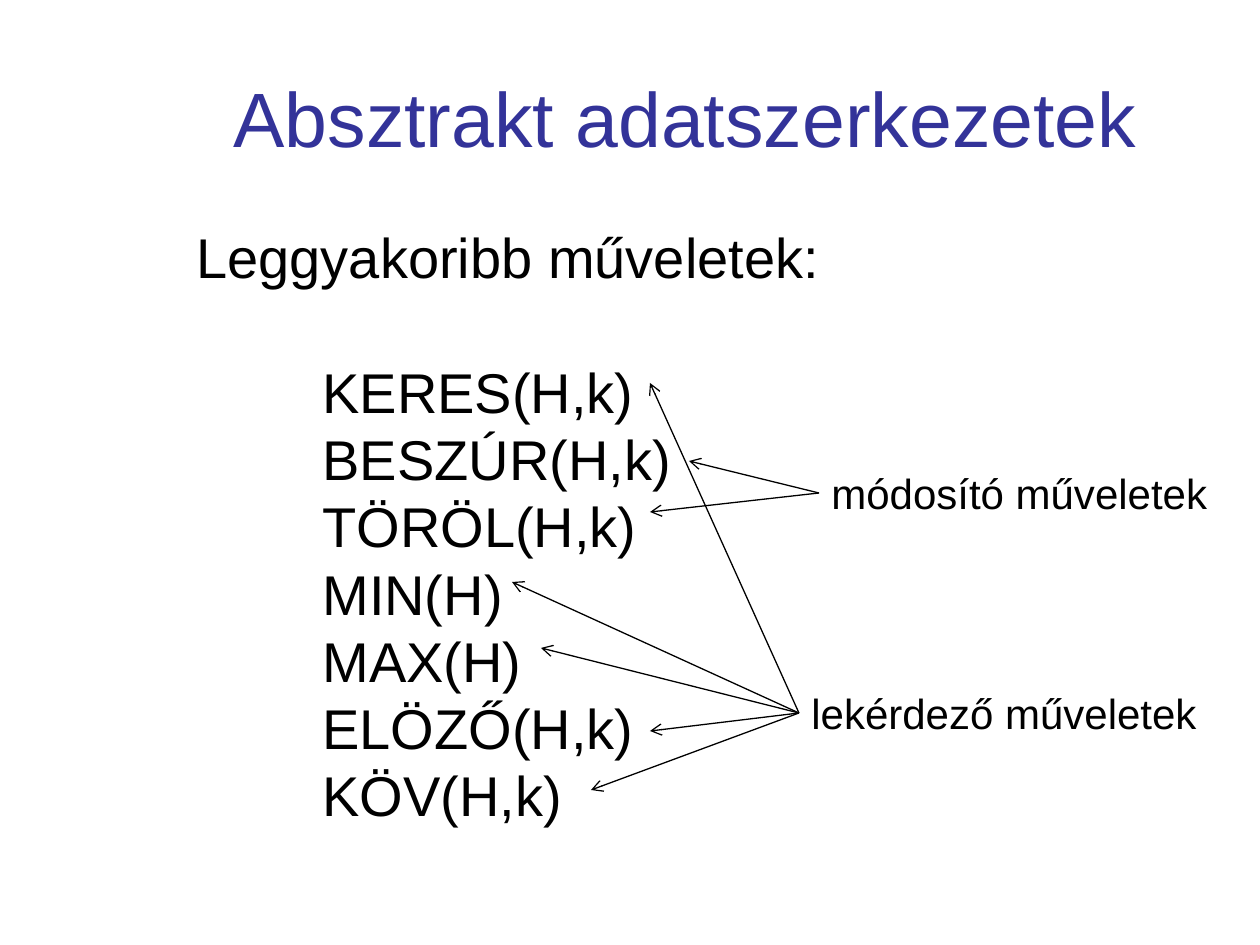
from typing import NamedTuple

from lxml.etree import SubElement
from pptx import Presentation
from pptx.dml.color import RGBColor
from pptx.enum.shapes import MSO_CONNECTOR
from pptx.enum.text import MSO_ANCHOR, PP_ALIGN
from pptx.oxml.ns import qn
from pptx.util import Emu, Pt

PX_PER_INCH = 126
BLACK = RGBColor(0x00, 0x00, 0x00)
INDIGO = RGBColor(0x33, 0x33, 0x99)
FONT = "Arial"
LINE_PITCH = Pt(38.4)
LEFT_SIDE = 1

OPERATIONS = ["KERES(H,k)", "BESZÚR(H,k)", "TÖRÖL(H,k)", "MIN(H)",
              "MAX(H)", "ELÖZŐ(H,k)", "KÖV(H,k)"]


class Box(NamedTuple):
    left: int
    top: int
    width: int
    height: int


def px(length):
    return Emu(round(length * 914400 / PX_PER_INCH))


def add_frame(slide, box, wrap=True):
    holder = slide.shapes.add_textbox(*map(px, box))
    holder.text_frame.word_wrap = wrap
    return holder


def add_text(paragraph, text, size, color=BLACK):
    run = paragraph.add_run()
    run.text = text
    run.font.name = FONT
    run.font.size = Pt(size)
    run.font.color.rgb = color


def add_title(slide, box, text):
    frame = add_frame(slide, box).text_frame
    frame.vertical_anchor = MSO_ANCHOR.MIDDLE
    frame.paragraphs[0].alignment = PP_ALIGN.CENTER
    add_text(frame.paragraphs[0], text, 44, INDIGO)


def add_operation_list(slide, box, heading, operations):
    """Heading, one line of space, then the operations indented by an inch."""
    frame = add_frame(slide, box).text_frame
    frame.margin_top = px(9)
    intro = frame.paragraphs[0]
    intro.line_spacing = LINE_PITCH
    add_text(intro, heading, 32)
    for index, operation in enumerate(operations):
        line = frame.add_paragraph()
        line.line_spacing = LINE_PITCH
        line.space_before = Pt(0) if index else LINE_PITCH
        properties = line._p.get_or_add_pPr()
        properties.set("marL", str(px(PX_PER_INCH)))
        properties.set("indent", "0")
        add_text(line, operation, 32)


def add_arrow(slide, label, start, tip):
    arrow = slide.shapes.add_connector(
        MSO_CONNECTOR.STRAIGHT, *map(px, (*start, *tip)))
    arrow.begin_connect(label, LEFT_SIDE)
    arrow.line.color.rgb = BLACK
    arrow.line.width = Pt(0.75)
    SubElement(arrow.line._get_or_add_ln(), qn("a:tailEnd"), type="arrow")
    SubElement(arrow._element.spPr, qn("a:effectLst"))


def add_operation_kind(slide, box, text, tip_offsets):
    """Label with arrows from its left side; tips are offsets from there."""
    label = add_frame(slide, box, wrap=False)
    label.text_frame.vertical_anchor = MSO_ANCHOR.MIDDLE
    add_text(label.text_frame.paragraphs[0], text, 24)
    x, y = box.left, box.top + box.height // 2
    for dx, dy in tip_offsets:
        add_arrow(slide, label, (x, y), (x + dx, y + dy))


def main():
    deck = Presentation()
    deck.slide_width, deck.slide_height = px(1260), px(945)
    slide = deck.slides.add_slide(deck.slide_layouts[6])

    add_operation_list(slide, Box(184, 214, 891, 624),
                       "Leggyakoribb műveletek:", OPERATIONS)
    add_title(slide, Box(174, 38, 1023, 158), "Absztrakt adatszerkezetek")
    add_operation_kind(
        slide, Box(799, 681, 414, 64), "lekérdező műveletek",
        [(-149, -330), (-287, -131), (-258, -65), (-149, 18), (-208, 77)])
    add_operation_kind(
        slide, Box(819, 461, 406, 64), "módosító műveletek",
        [(-130, -32), (-169, 19)])

    deck.save("out.pptx")


if __name__ == "__main__":
    main()
